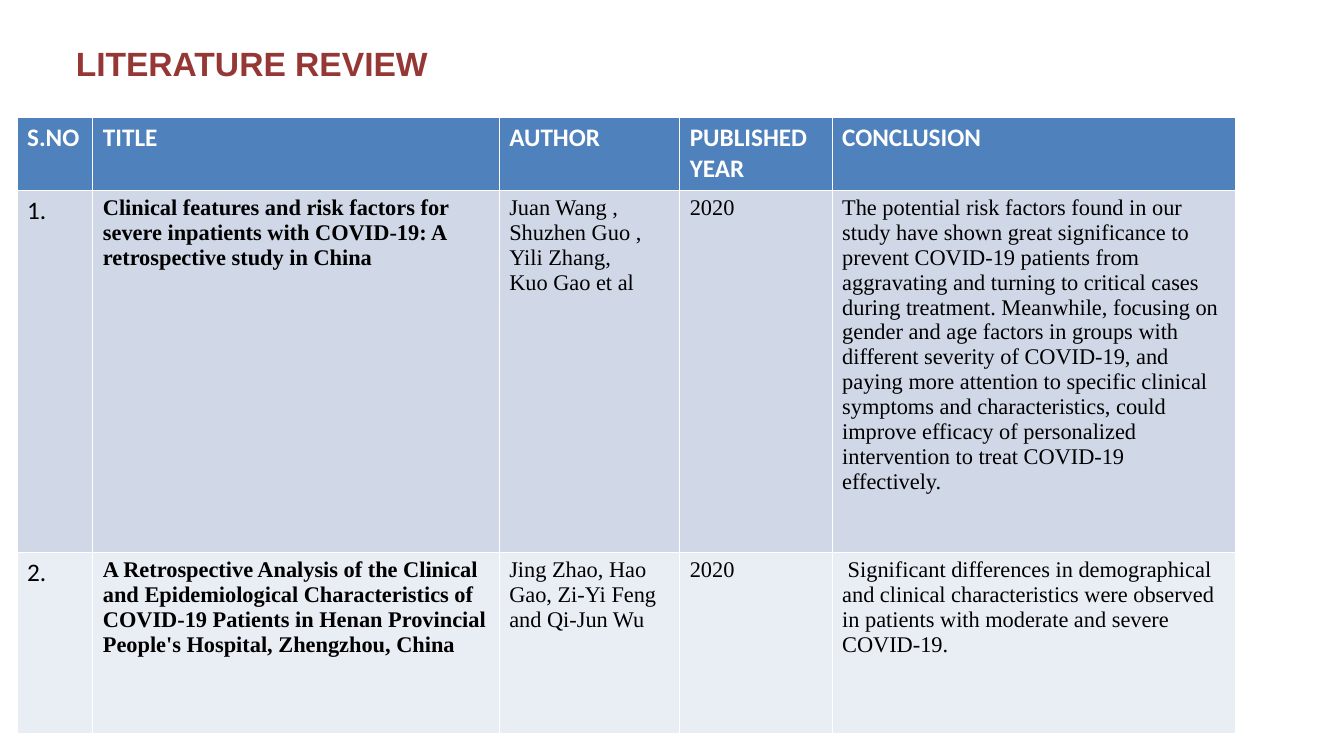
import pptx
import pptx.dml.color
import pptx.util

Cm = pptx.util.Cm
Pt = pptx.util.Pt
RGBColor = pptx.dml.color.RGBColor

MAROON = RGBColor(0x94, 0x37, 0x35)
WHITE = RGBColor(0xFF, 0xFF, 0xFF)
BLACK = RGBColor(0x00, 0x00, 0x00)
HEADER_BLUE = RGBColor(0x4F, 0x81, 0xBD)
BAND_FILLS = [RGBColor(0xD0, 0xD8, 0xE8), RGBColor(0xE9, 0xED, 0xF4)]

TITLE_FORMAT = {"name": "Arial", "size": Pt(24), "bold": True, "color": MAROON}
HEADER_FORMAT = {"name": "Calibri", "size": Pt(18), "bold": True, "color": WHITE}
NUMBER_FORMAT = {"name": "Calibri", "size": Pt(18), "bold": False, "color": BLACK}
BODY_FORMAT = {"name": "Times New Roman", "size": Pt(16), "bold": False, "color": BLACK}
STUDY_FORMAT = {**BODY_FORMAT, "bold": True}
ROW_FORMATS = [NUMBER_FORMAT, STUDY_FORMAT, BODY_FORMAT, BODY_FORMAT, BODY_FORMAT]

COLUMN_WIDTHS = [1.91, 10.24, 4.55, 3.84, 10.16]
ROW_HEIGHTS = [1.83, 9.12, 4.57]
HEADERS = ["S.NO", "TITLE", "AUTHOR", "PUBLISHED YEAR", "CONCLUSION"]
STUDIES = [
    [
        "1.",
        "Clinical features and risk factors for severe inpatients with COVID-19: "
        "A retrospective study in China",
        "Juan Wang ,\nShuzhen Guo ,\nYili Zhang,\nKuo Gao et al",
        "2020",
        "The potential risk factors found in our study have shown great significance "
        "to prevent COVID-19 patients from aggravating and turning to critical cases "
        "during treatment. Meanwhile, focusing on gender and age factors in groups "
        "with different severity of COVID-19, and paying more attention to specific "
        "clinical symptoms and characteristics, could improve efficacy of "
        "personalized intervention to treat COVID-19 effectively.",
    ],
    [
        "2.",
        "A Retrospective Analysis of the Clinical and Epidemiological Characteristics "
        "of COVID-19 Patients in Henan Provincial People's Hospital, Zhengzhou, China",
        "Jing Zhao, Hao Gao, Zi-Yi Feng and Qi-Jun Wu",
        "2020",
        " Significant differences in demographical and clinical characteristics were "
        "observed in patients with moderate and severe COVID-19.",
    ],
]


def write_text(frame, text, text_format):
    """Fill a text frame, one paragraph per line of text."""
    frame.text = text
    for para in frame.paragraphs:
        for span in para.runs:
            for name, value in text_format.items():
                if name == "color":
                    span.font.color.rgb = value
                else:
                    setattr(span.font, name, value)


def add_title(page, left, top, width, height):
    frame = page.shapes.add_textbox(left, top, width, height).text_frame
    frame.word_wrap = True
    for side in ("left", "top", "right", "bottom"):
        setattr(frame, f"margin_{side}", 0)
    write_text(frame, "LITERATURE REVIEW", TITLE_FORMAT)


def fill_row(row, texts, formats, fill_color):
    for cell, text, text_format in zip(row.cells, texts, formats):
        cell.fill.solid()
        cell.fill.fore_color.rgb = fill_color
        write_text(cell.text_frame, text, text_format)


def add_review_table(page, left, top):
    table = page.shapes.add_table(
        len(ROW_HEIGHTS), len(COLUMN_WIDTHS), left, top,
        Cm(sum(COLUMN_WIDTHS)), Cm(sum(ROW_HEIGHTS)),
    ).table
    for column, width in zip(table.columns, COLUMN_WIDTHS):
        column.width = Cm(width)
    for row, height in zip(table.rows, ROW_HEIGHTS):
        row.height = Cm(height)

    fill_row(table.rows[0], HEADERS, [HEADER_FORMAT] * len(HEADERS), HEADER_BLUE)
    for number, (study, band_fill) in enumerate(zip(STUDIES, BAND_FILLS), start=1):
        fill_row(table.rows[number], study, ROW_FORMATS, band_fill)


def main():
    deck = pptx.Presentation()
    deck.slide_width = Cm(33.87)
    deck.slide_height = Cm(19.05)
    page = deck.slides.add_slide(deck.slide_layouts[6])
    add_title(page, Cm(1.91), Cm(1.07), Cm(30.05), Cm(1.02))
    add_review_table(page, Cm(0.43), Cm(2.97))
    deck.save("out.pptx")


if __name__ == "__main__":
    main()
